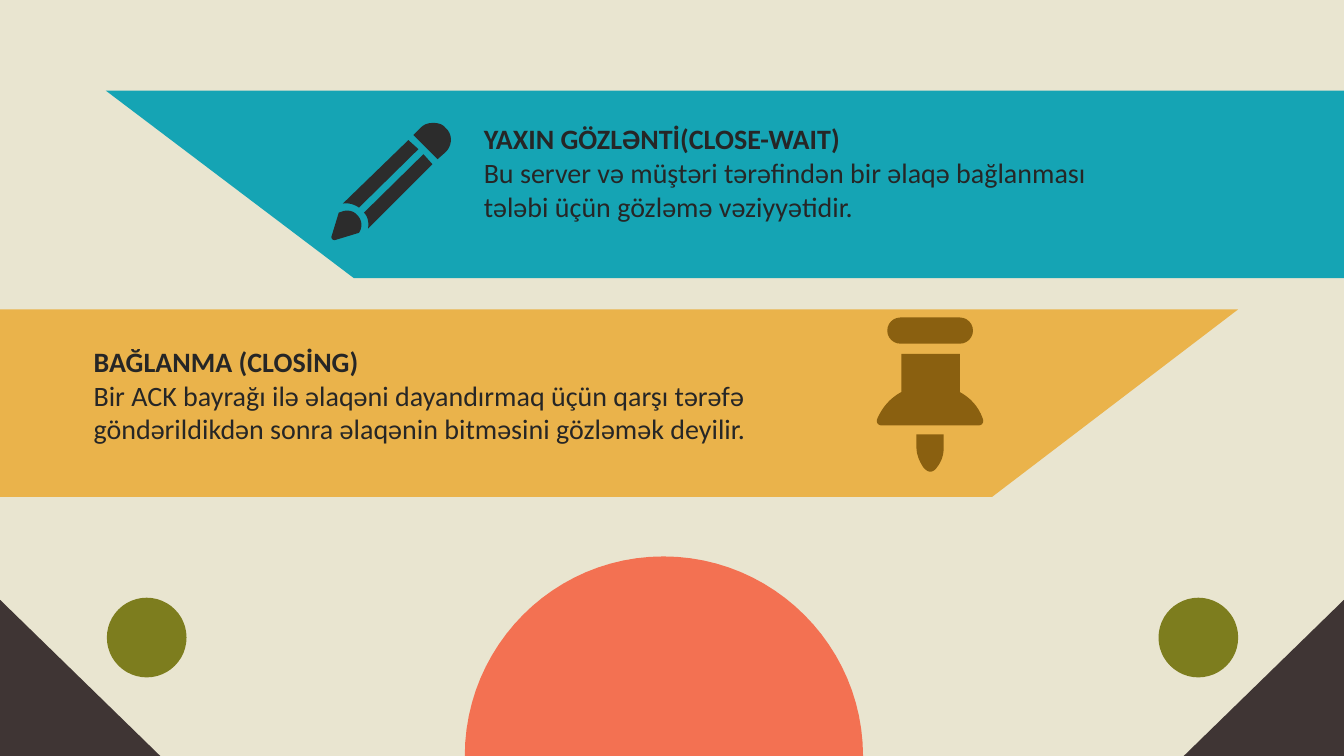
import pptx
import pptx.dml.color
import pptx.enum.shapes
import pptx.util

Inches = pptx.util.Inches
MSO_SHAPE = pptx.enum.shapes.MSO_SHAPE


class Deck:
    """Hold the style and the current slide, and draw each kind of element."""

    colors = {
        "background": "E9E5D0", "sun": "F37152", "corner": "3F3534",
        "dot": "7D7D1E", "teal": "15A4B4", "amber": "EAB34B",
        "pencil": "2C2C2C", "pin": "8A6010", "text": "262626",
    }
    font = "Calibri"
    size = pptx.util.Pt(20)
    curve_steps = 24

    def __init__(self, prs):
        self.slide = prs.slides.add_slide(prs.slide_layouts[6])
        fill = self.slide.background.fill
        fill.solid()
        fill.fore_color.rgb = self.rgb("background")

    def rgb(self, name):
        return pptx.dml.color.RGBColor.from_string(self.colors[name])

    def paint(self, sp, color):
        sp.shadow.inherit = False
        sp.fill.solid()
        sp.fill.fore_color.rgb = self.rgb(color)
        sp.line.fill.background()

    def preset(self, kind, left, top, width, height, color):
        sp = self.slide.shapes.add_shape(
            kind, Inches(left), Inches(top), Inches(width), Inches(height))
        self.paint(sp, color)
        return sp

    def bezier(self, p0, segment):
        controls = [p0, segment[:2], segment[2:4], segment[4:]]
        for step in range(1, self.curve_steps + 1):
            t = step / self.curve_steps
            weights = ((1 - t) ** 3, 3 * t * (1 - t) ** 2, 3 * t * t * (1 - t), t ** 3)
            yield tuple(sum(w * c[axis] for w, c in zip(weights, controls))
                        for axis in (0, 1))

    def outline(self, color, start, *segments):
        points = [start]
        for segment in segments:
            if len(segment) == 2:
                points.append(segment)
            else:
                points.extend(self.bezier(points[-1], segment))
        points = [(Inches(x), Inches(y)) for x, y in points]
        builder = self.slide.shapes.build_freeform(*points[0])
        builder.add_line_segments(points[1:], close=True)
        self.paint(builder.convert_to_shape(), color)

    def text(self, left, top, width, height, title, body):
        tf = self.slide.shapes.add_textbox(
            Inches(left), Inches(top), Inches(width), Inches(height)).text_frame
        tf.word_wrap = True
        for p, line, bold in ((tf.paragraphs[0], title, True),
                              (tf.add_paragraph(), body, False)):
            p.text = line
            p.font.name = self.font
            p.font.size = self.size
            p.font.bold = bold
            p.font.color.rgb = self.rgb("text")


def main():
    prs = pptx.Presentation()
    prs.slide_width, prs.slide_height = Inches(13.33), Inches(7.5)
    s = Deck(prs)

    s.outline("sun", (4.61, 7.5), (4.61, 6.41, 5.49, 5.52, 6.58, 5.52),
              (7.67, 5.52, 8.56, 6.41, 8.56, 7.5))
    for edge, inner, dot_left in ((0, 1.59, 1.06), (13.33, 11.74, 11.49)):
        s.outline("corner", (edge, 5.95), (edge, 7.5), (inner, 7.5))
        s.preset(MSO_SHAPE.OVAL, dot_left, 5.93, 0.79, 0.79, "dot")

    s.outline("teal", (1.05, 0.9), (3.51, 2.76), (13.33, 2.76), (13.33, 0.9))
    s.outline("amber", (0, 3.07), (0, 4.93), (9.84, 4.93), (12.28, 3.07))

    s.text(4.7, 1.16, 6.67, 1.41, "YAXIN GÖZLƏNTİ(CLOSE-WAIT)",
           "Bu server və müştəri tərəfindən bir əlaqə bağlanması tələbi "
           "üçün gözləmə vəziyyətidir.")
    s.outline("pencil", (4.05, 1.39), (3.4, 2.02),
              (3.46, 2.01, 3.52, 2.03, 3.56, 2.06), (4.15, 1.48))
    s.outline("pencil", (4.3, 1.22), (4.25, 1.22, 4.21, 1.23, 4.17, 1.27),
              (4.1, 1.34), (4.34, 1.58), (4.42, 1.51),
              (4.49, 1.44, 4.49, 1.33, 4.42, 1.27),
              (4.39, 1.23, 4.34, 1.22, 4.3, 1.22))
    s.outline("pencil", (4.2, 1.53), (3.61, 2.11),
              (3.65, 2.15, 3.66, 2.21, 3.65, 2.27), (4.29, 1.63))
    s.outline("pencil", (3.44, 2.09), (3.41, 2.09, 3.39, 2.1, 3.36, 2.11),
              (3.29, 2.34), (3.28, 2.36, 3.3, 2.39, 3.33, 2.38), (3.56, 2.31),
              (3.6, 2.25, 3.59, 2.18, 3.54, 2.13),
              (3.51, 2.1, 3.48, 2.09, 3.44, 2.09))

    s.text(0.83, 3.37, 6.67, 1.11, "BAĞLANMA (CLOSİNG)",
           "Bir ACK bayrağı ilə əlaqəni dayandırmaq üçün qarşı tərəfə "
           "göndərildikdən sonra əlaqənin bitməsini gözləmək deyilir.")
    cap = s.preset(MSO_SHAPE.ROUNDED_RECTANGLE, 8.8, 3.15, 0.85, 0.26, "pin")
    cap.adjustments[0] = 0.5
    s.outline("pin", (8.94, 3.51), (8.94, 3.89),
              (8.83, 3.95, 8.75, 4.04, 8.7, 4.16),
              (8.69, 4.19, 8.71, 4.22, 8.74, 4.22), (9.71, 4.22),
              (9.74, 4.22, 9.76, 4.19, 9.75, 4.16),
              (9.71, 4.04, 9.63, 3.95, 9.52, 3.89), (9.52, 3.51))
    s.outline("pin", (9.09, 4.31), (9.09, 4.44),
              (9.09, 4.51, 9.12, 4.58, 9.16, 4.64),
              (9.18, 4.66, 9.2, 4.68, 9.23, 4.68),
              (9.25, 4.68, 9.28, 4.66, 9.29, 4.64),
              (9.34, 4.58, 9.36, 4.51, 9.36, 4.44), (9.36, 4.31))

    prs.save("out.pptx")


if __name__ == "__main__":
    main()
